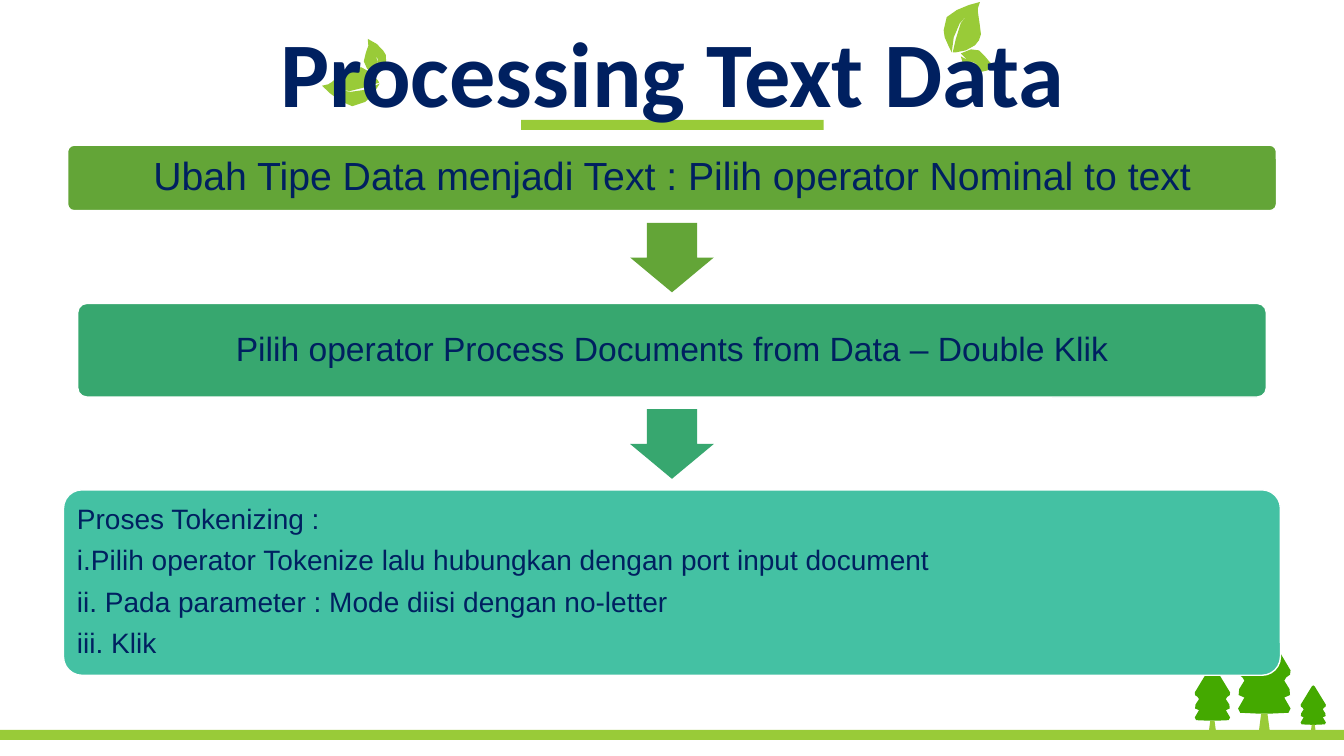
import math

from pptx import Presentation
from pptx import util as u
from pptx.dml.color import RGBColor
from pptx.enum import shapes, text

NAVY = RGBColor(0x00, 0x20, 0x60)
WHITE = RGBColor(0xFF, 0xFF, 0xFF)
LIME = RGBColor(0x99, 0xCB, 0x38)
TREE_GREEN = RGBColor(0x44, 0xA9, 0x00)
LEAF_GREEN = RGBColor(0x63, 0xA5, 0x37)
EMERALD = RGBColor(0x37, 0xA7, 0x6F)
TURQUOISE = RGBColor(0x44, 0xC1, 0xA3)

SLIDE_WIDTH, SLIDE_HEIGHT = 13.33, 7.5
ARROW_WIDTH, ARROW_HEIGHT = 0.83, 0.69

TREE_SIDE = [(0.5, 0), (0.55, 0.02), (0.6, 0.07), (1, 0.49), (0.99, 0.54),
             (0.92, 0.57), (0.88, 0.61), (0.98, 0.71), (0.99, 0.78),
             (0.88, 0.81), (1, 0.94), (0.96, 0.99), (0.6, 1)]
TRUNK = [(0.2, 0), (0.8, 0), (1, 0.75), (0.9, 0.95), (0.5, 1), (0.1, 0.95), (0, 0.75)]
BIG_LEAF = [(-0.14, 0.25), (-0.12, 0.1), (-0.06, -0.04), (0.03, -0.14),
            (-0.05, -0.04), (-0.1, 0.12), (-0.13, 0.25), (-0.1, 0.25),
            (0, 0.23), (0.09, 0.18), (0.13, 0.13), (0.15, 0.07),
            (0.14, -0.01), (0.12, -0.15), (0.12, -0.19), (0.14, -0.25),
            (0.03, -0.22), (-0.09, -0.17), (-0.19, -0.1), (-0.22, 0.03),
            (-0.21, 0.1), (-0.17, 0.19)]
SMALL_LEAF = [(0.21, 0.38), (0.08, 0.36), (-0.05, 0.29), (-0.03, 0.36),
              (0, 0.41), (0.07, 0.45), (0.12, 0.45), (0.21, 0.43),
              (0.3, 0.38), (0.24, 0.35), (0.19, 0.29), (0.13, 0.23),
              (0.05, 0.22), (-0.05, 0.26), (0.01, 0.32), (0.05, 0.34),
              (0.13, 0.37)]


def paint(shape, fill, line=None):
    """Fill a shape flatly, with an optional one-point outline."""
    shape.shadow.inherit = False
    shape.fill.solid()
    shape.fill.fore_color.rgb = fill
    if line is None:
        shape.line.fill.background()
    else:
        shape.line.color.rgb = line
        shape.line.width = u.Pt(1)


def add_preset(slide, kind, box, fill, line=None, adjustments=()):
    """Add a preset shape in a box given in inches."""
    shape = slide.shapes.add_shape(kind, *map(u.Inches, box))
    paint(shape, fill, line)
    for index, value in enumerate(adjustments):
        shape.adjustments[index] = value
    return shape


def add_outline(slide, points, fill):
    """Add a filled closed outline through points given in inches."""
    start, *rest = [(u.Inches(x), u.Inches(y)) for x, y in points]
    builder = slide.shapes.build_freeform(*start, scale=1.0)
    builder.add_line_segments(rest, close=True)
    paint(builder.convert_to_shape(), fill)


def write(shape, lines, size, font="Arial", color=NAVY, bold=False, inset=0.1,
          align=text.PP_ALIGN.CENTER, space_after=0):
    """Write formatted paragraphs, vertically centred in a shape."""
    frame = shape.text_frame
    frame.word_wrap = True
    frame.auto_size = text.MSO_AUTO_SIZE.NONE
    frame.vertical_anchor = text.MSO_ANCHOR.MIDDLE
    frame.margin_left = frame.margin_right = u.Inches(inset)
    frame.margin_top = frame.margin_bottom = u.Inches(inset)
    frame.text = "\n".join(lines)
    for paragraph in frame.paragraphs:
        paragraph.alignment = align
        paragraph.line_spacing = 0.9
        paragraph.space_before = u.Pt(0)
        paragraph.space_after = u.Pt(space_after)
        paragraph.font.name = font
        paragraph.font.size = u.Pt(size)
        paragraph.font.bold = bold
        paragraph.font.color.rgb = color


def add_tree(slide, left, top, width, height):
    """Draw a fir crown in the given box with its trunk below."""
    side = TREE_SIDE + [(1 - x, y) for x, y in reversed(TREE_SIDE[1:])]
    add_outline(slide, [(left + x * width, top + y * height) for x, y in side], TREE_GREEN)
    trunk_width, trunk_height = 0.2 * width, 0.25 * height
    trunk_left = left + (width - trunk_width) / 2
    add_outline(slide, [(trunk_left + x * trunk_width, top + height + y * trunk_height)
                        for x, y in TRUNK], LIME)


def add_sprig(slide, center_x, center_y, degrees=0):
    """Draw a pair of leaves turned around the centre of the big leaf."""
    cosine, sine = math.cos(math.radians(degrees)), math.sin(math.radians(degrees))
    for leaf in (BIG_LEAF, SMALL_LEAF):
        add_outline(slide, [(center_x + x * cosine - y * sine,
                             center_y + x * sine + y * cosine) for x, y in leaf], LIME)


def add_scenery(slide):
    """Draw the trees, leaves and green bars behind the content."""
    for box in [(12.28, 6.24, 0.52, 0.84), (12.9, 6.8, 0.25, 0.39), (11.85, 6.6, 0.35, 0.55)]:
        add_tree(slide, *box)
    add_sprig(slide, 9.58, 0.27)
    add_sprig(slide, 3.48, 0.84, degrees=238.6)
    for box in [(5.17, 1.19, 3, 0.1), (0, 7.24, SLIDE_WIDTH, 0.1)]:
        add_preset(slide, shapes.MSO_SHAPE.RECTANGLE, box, LIME)


def add_title(slide, left, top, width, height):
    """Place the title above the scenery."""
    title = slide.shapes.title
    title.left, title.top = u.Inches(left), u.Inches(top)
    title.width, title.height = u.Inches(width), u.Inches(height)
    write(title, ["Processing Text Data"], 66, font="Calibri", bold=True, inset=0.05)
    slide.shapes._spTree.append(title._element)


def add_step(slide, top, width, height, fill, lines, **text_format):
    """Add a centred rounded step box."""
    box = ((SLIDE_WIDTH - width) / 2, top, width, height)
    step = add_preset(slide, shapes.MSO_SHAPE.ROUNDED_RECTANGLE, box, fill,
                      line=WHITE, adjustments=[0.1])
    write(step, lines, **text_format)


def add_arrow(slide, top, fill):
    """Add a centred arrow that leads down to the next step."""
    box = ((SLIDE_WIDTH - ARROW_WIDTH) / 2, top, ARROW_WIDTH, ARROW_HEIGHT)
    add_preset(slide, shapes.MSO_SHAPE.DOWN_ARROW, box, fill, adjustments=[0.6, 0.5])


def add_process(slide):
    """Stack the three steps and the arrows between them."""
    add_step(slide, 1.44, 11.99, 0.65, LEAF_GREEN,
             ["Ubah Tipe Data menjadi Text : Pilih operator Nominal to text"], size=28)
    add_arrow(slide, 2.21, LEAF_GREEN)
    add_step(slide, 3.01, 11.79, 0.93, EMERALD,
             ["Pilih operator Process Documents from Data – Double Klik"], size=24)
    add_arrow(slide, 4.06, EMERALD)
    add_step(slide, 4.86, 12.07, 1.84, TURQUOISE,
             ["Proses Tokenizing :",
              "i.Pilih operator Tokenize lalu hubungkan dengan port input document",
              "ii. Pada parameter : Mode diisi dengan no-letter",
              "iii. Klik"],
             size=20, align=text.PP_ALIGN.LEFT, inset=0.08, space_after=8)


def main():
    """Build and save the slide."""
    presentation = Presentation()
    presentation.slide_width = u.Inches(SLIDE_WIDTH)
    presentation.slide_height = u.Inches(SLIDE_HEIGHT)
    slide = presentation.slides.add_slide(presentation.slide_layouts[5])
    add_scenery(slide)
    add_title(slide, 0.34, 0.37, 12.66, 0.79)
    add_process(slide)
    presentation.save("out.pptx")


if __name__ == "__main__":
    main()
